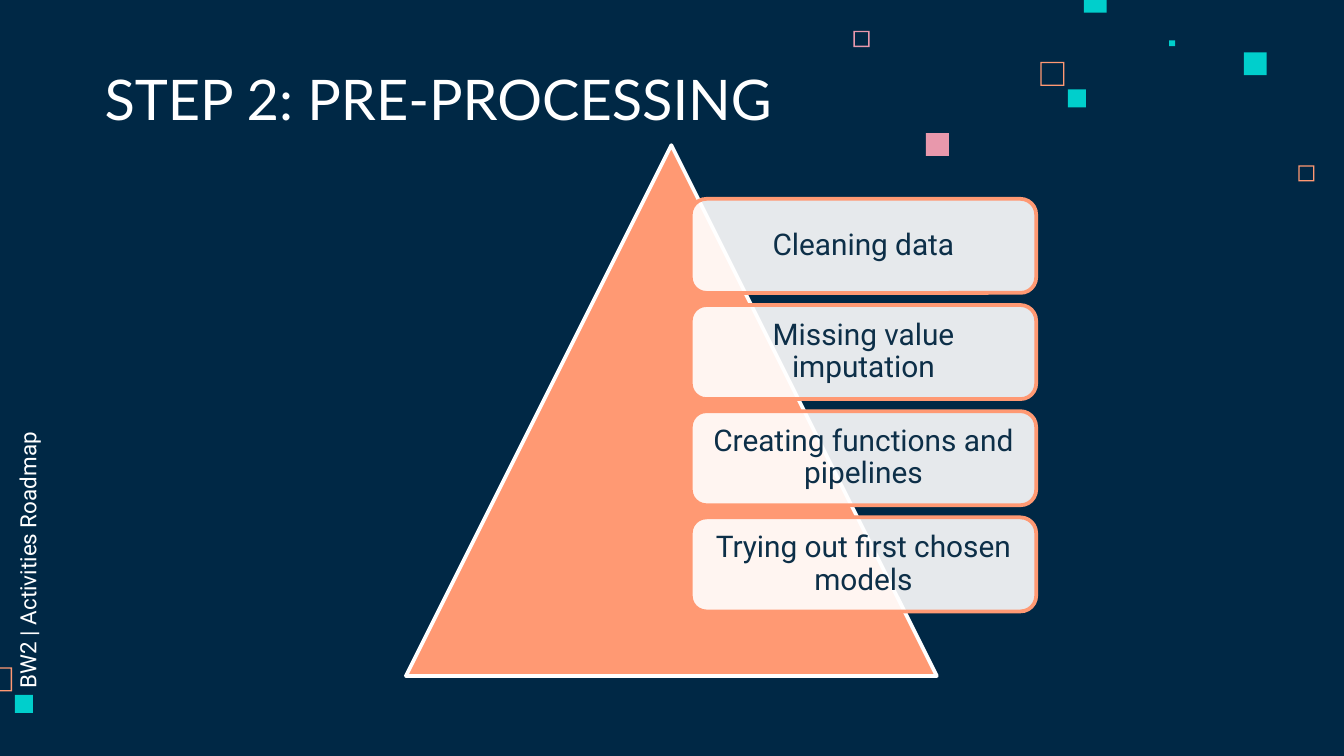
from lxml import etree
from pptx import Presentation
from pptx.dml.color import RGBColor
from pptx.enum.shapes import MSO_SHAPE
from pptx.enum.text import MSO_ANCHOR, PP_ALIGN
from pptx.oxml.ns import qn
from pptx.util import Pt

SQUARE = MSO_SHAPE.RECTANGLE
FRAME = MSO_SHAPE.FRAME
TRIANGLE = MSO_SHAPE.ISOSCELES_TRIANGLE
ROUNDED = MSO_SHAPE.ROUNDED_RECTANGLE
TOP, MIDDLE, BOTTOM = MSO_ANCHOR.TOP, MSO_ANCHOR.MIDDLE, MSO_ANCHOR.BOTTOM
LEFT, CENTER = PP_ALIGN.LEFT, PP_ALIGN.CENTER

PX = 4572
PAGE_WIDTH, PAGE_HEIGHT = 2000, 1125
COLORS = {
    "navy": "002845",
    "ink": "0D2F48",
    "orange": "FF9973",
    "pink": "E898AC",
    "teal": "00CFCC",
    "white": "FFFFFF",
}

TITLE = "STEP 2: PRE-PROCESSING"
SIDE_LABEL = "BW2 | Activities Roadmap"
STEPS = [
    "Cleaning data",
    "Missing value imputation",
    "Creating functions and pipelines",
    "Trying out first chosen models",
]
DECOR = [
    (FRAME, 1932, 246, 24, "orange"),
    (FRAME, 1270, 46, 24, "pink"),
    (FRAME, 1548, 92, 36, "orange"),
    (SQUARE, 1740, 60, 9, "teal"),
    (SQUARE, 1613, -15, 34, "teal"),
    (SQUARE, 1851, 78, 34, "teal"),
    (SQUARE, 1589, 133, 27, "teal"),
    (SQUARE, 1378, 198, 34, "pink"),
    (FRAME, -18, 993, 36, "orange"),
    (SQUARE, 22, 1034, 27, "teal"),
]
FRAME_THICKNESS = 2

TRIANGLE_BOX = (604, 216, 790, 790)
STEP_LEFT, STEP_TOP, STEP_WIDTH, STEP_HEIGHT = 1028, 296, 514, 140
STEP_PITCH = 158
TITLE_BOX = (136, 90, 1060, 126)
SIDE_BOX = (-196, 782, 466, 72)

TITLE_FORMAT = {"name": "Lato", "size": Pt(30)}
SIDE_FORMAT = {"name": "Roboto", "size": Pt(12)}
STEP_FORMAT = {"name": "Roboto", "size": Pt(16)}


def rgb(name):
    return RGBColor.from_string(COLORS[name])


def add_block(page, kind, box, fill, line=None):
    shape = page.shapes.add_shape(kind, *(v * PX for v in box))
    shape.shadow.inherit = False
    shape.fill.solid()
    shape.fill.fore_color.rgb = rgb(fill)
    if line:
        shape.line.color.rgb = rgb(line)
        shape.line.width = Pt(2)
        etree.SubElement(shape.line._get_or_add_ln(), qn("a:round"))
    else:
        shape.line.fill.background()
    return shape


def set_text(shape, text, font_format, color, anchor, align, insets):
    frame = shape.text_frame
    frame.word_wrap = True
    frame.vertical_anchor = anchor
    for side, inset in zip(("left", "top", "right", "bottom"), insets):
        setattr(frame, f"margin_{side}", inset * PX)
    para = frame.paragraphs[0]
    para.alignment = align
    span = para.add_run()
    span.text = text
    for key, value in font_format.items():
        setattr(span.font, key, value)
    span.font.color.rgb = rgb(color)
    return para


def add_label(page, box, *text_settings):
    label = page.shapes.add_textbox(*(v * PX for v in box))
    set_text(label, *text_settings)
    return label


def set_opacity(shape, percent):
    color = shape.fill._xPr.find(qn("a:solidFill"))[0]
    etree.SubElement(color, qn("a:alpha"), val=str(percent * 1000))


def main():
    deck = Presentation()
    deck.slide_width, deck.slide_height = PAGE_WIDTH * PX, PAGE_HEIGHT * PX
    page = deck.slides.add_slide(deck.slide_layouts[6])
    page.background.fill.solid()
    page.background.fill.fore_color.rgb = rgb("navy")

    for kind, left, top, size, color in DECOR:
        square = add_block(page, kind, (left, top, size, size), color)
        if kind == FRAME:
            square.adjustments[0] = FRAME_THICKNESS / size

    add_label(page, TITLE_BOX, TITLE, TITLE_FORMAT, "white", BOTTOM, LEFT, (20, 20, 20, 20))
    side = add_label(page, SIDE_BOX, SIDE_LABEL, SIDE_FORMAT, "white", TOP, LEFT, (27, 20, 20, 20))
    side.rotation = 270

    add_block(page, TRIANGLE, TRIANGLE_BOX, "orange", "white")
    for index, step in enumerate(STEPS):
        box = (STEP_LEFT, STEP_TOP + index * STEP_PITCH, STEP_WIDTH, STEP_HEIGHT)
        card = add_block(page, ROUNDED, box, "white", "orange")
        set_opacity(card, 90)
        para = set_text(card, step, STEP_FORMAT, "ink", MIDDLE, CENTER, (14, 14, 14, 14))
        para.line_spacing = 0.9

    deck.save("out.pptx")


if __name__ == "__main__":
    main()
